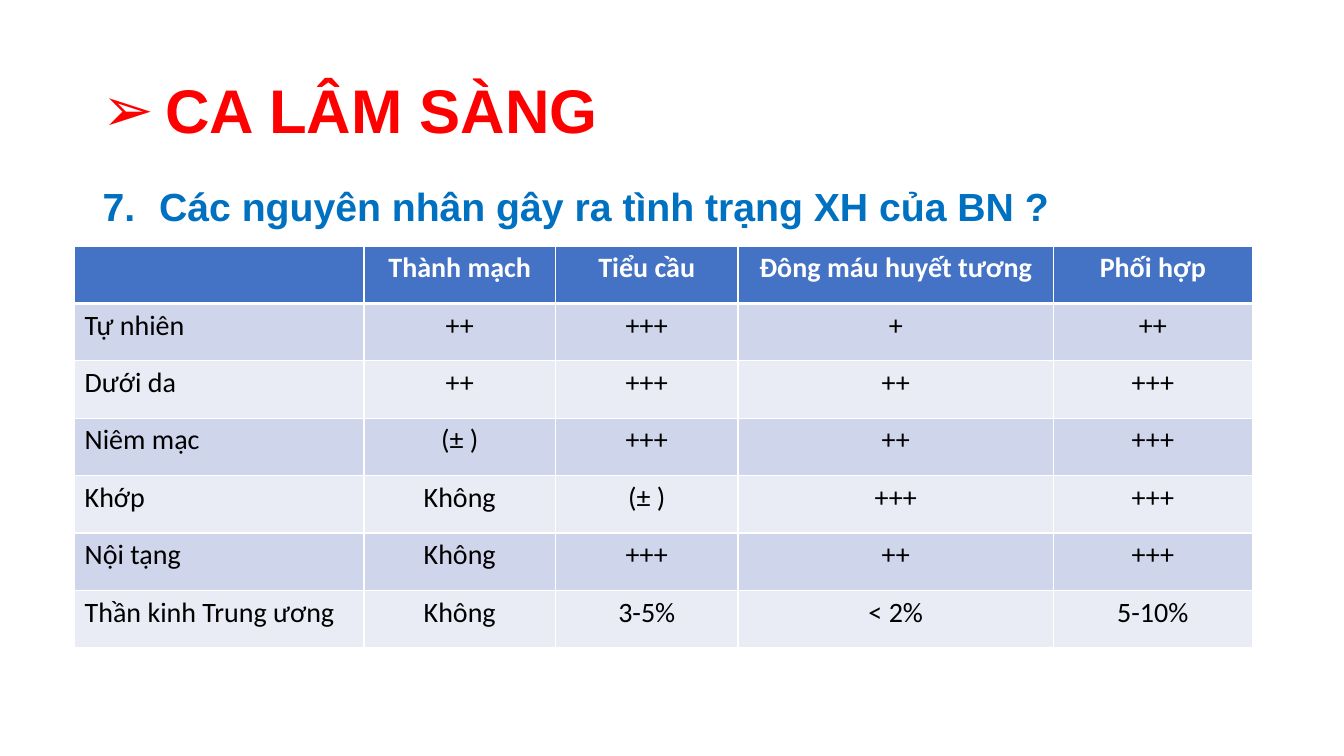
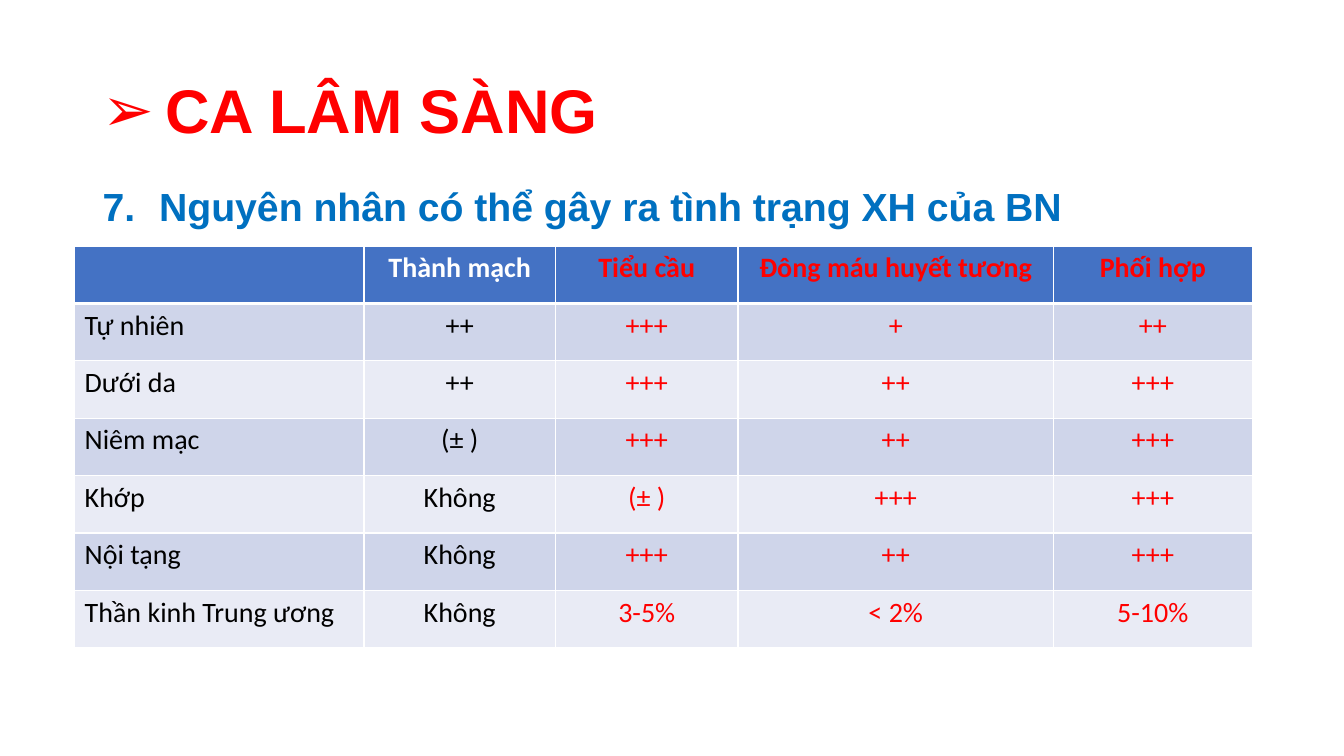
from dataclasses import dataclass

from lxml import etree
from pptx import Presentation
from pptx import util as u
from pptx.dml.color import RGBColor
from pptx.enum import text as t
from pptx.oxml import ns

PX = 9144


@dataclass(frozen=True)
class Theme:
    red: str = "FF0000"
    blue: str = "0070C0"
    head: str = "4472C4"
    bands: tuple = ("CFD5EA", "E9EBF5")
    white: str = "FFFFFF"
    black: str = "000000"
    face: str = "Arial"
    body: str = "Calibri"
    big: int = 44
    mid: int = 28
    small: int = 20


def px(n):
    return u.Emu(n * PX)


def sub(root, tag, **attrs):
    return etree.SubElement(root, ns.qn(tag), attrs)


def put(frame, words, size, color, font, bold=False, align="LEFT", space=None,
        mark=None, hang=0):
    para = frame.paragraphs[0]
    para.alignment = t.PP_ALIGN[align]
    if mark:
        tag, attrs = mark
        props = para._p.get_or_add_pPr()
        props.set("marL", str(hang * PX))
        props.set("indent", str(-hang * PX))
        sub(props, "a:buFont", typeface=font)
        sub(props, tag, **attrs)
    if space:
        para.line_spacing = space
        para.space_before = u.Pt(0)
    run = para.add_run()
    run.text = words
    run.font.size = u.Pt(size)
    run.font.name = font
    run.font.bold = bold
    run.font.color.rgb = RGBColor.from_string(color)


class Deck:
    def __init__(self, theme):
        self.theme = theme
        self.prs = Presentation()
        self.prs.slide_width = px(1333)
        self.prs.slide_height = px(750)
        self.slide = None

    def title(self, words):
        self.slide = self.prs.slides.add_slide(self.prs.slide_layouts[5])
        shape = self.slide.shapes.title
        shape.left, shape.top, shape.width, shape.height = map(px, (92, 40, 1150, 145))
        frame = shape.text_frame
        frame.auto_size = t.MSO_AUTO_SIZE.NONE
        frame.vertical_anchor = t.MSO_ANCHOR.MIDDLE
        put(frame, words, self.theme.big, self.theme.red, self.theme.face, bold=True,
            space=0.9, mark=("a:buChar", {"char": "➢"}), hang=62)

    def point(self, words, start):
        box = self.slide.shapes.add_textbox(*map(px, (92, 153, 1150, 476)))
        frame = box.text_frame
        frame.word_wrap = True
        mark = ("a:buAutoNum", {"type": "arabicPeriod", "startAt": str(start)})
        put(frame, words, self.theme.mid, self.theme.blue, self.theme.face, bold=True,
            align="JUSTIFY", space=1.5, mark=mark, hang=56)

    def edges(self, cell, row):
        props = cell._tc.get_or_add_tcPr()
        thick = {"a:lnT": row == 1, "a:lnB": row == 0}
        for tag in ("a:lnL", "a:lnR", "a:lnT", "a:lnB"):
            width = u.Pt(3 if thick.get(tag) else 1)
            line = sub(props, tag, w=str(width))
            sub(sub(line, "a:solidFill"), "a:srgbClr", val=self.theme.white)

    def table(self, rows, widths, high, reds):
        look = self.theme
        area = map(px, (74, 244, sum(widths), high * len(rows)))
        grid = self.slide.shapes.add_table(len(rows), len(widths), *area).table
        for col, width in zip(grid.columns, widths):
            col.width = px(width)
        for r, row in enumerate(rows):
            grid.rows[r].height = px(high)
            for c, words in enumerate(row):
                cell = grid.cell(r, c)
                self.edges(cell, r)
                cell.fill.solid()
                fill = look.bands[(r - 1) % 2] if r else look.head
                cell.fill.fore_color.rgb = RGBColor.from_string(fill)
                plain = look.black if r else look.white
                if words:
                    put(cell.text_frame, words, look.small,
                        look.red if c in reds else plain, look.body,
                        bold=r == 0, align="CENTER" if c else "LEFT")


WIDTHS = (287, 190, 181, 313, 197)
ROWS = (
    ("", "Thành mạch", "Tiểu cầu", "Đông máu huyết tương", "Phối hợp"),
    ("Tự nhiên", "++", "+++", "+", "++"),
    ("Dưới da", "++", "+++", "++", "+++"),
    ("Niêm mạc", "(± )", "+++", "++", "+++"),
    ("Khớp", "Không", "(± )", "+++", "+++"),
    ("Nội tạng", "Không", "+++", "++", "+++"),
    ("Thần kinh Trung ương", "Không", "3-5%", "< 2%", "5-10%"),
)
PAGES = (
    ("Các nguyên nhân gây ra tình trạng XH của BN ?", ()),
    ("Nguyên nhân có thể gây ra tình trạng XH của BN", (2, 3, 4)),
)


def main():
    deck = Deck(Theme())
    for words, reds in PAGES:
        deck.title("CA LÂM SÀNG")
        deck.point(words, 7)
        deck.table(ROWS, WIDTHS, 57, reds)
    deck.prs.save("out.pptx")


if __name__ == "__main__":
    main()
